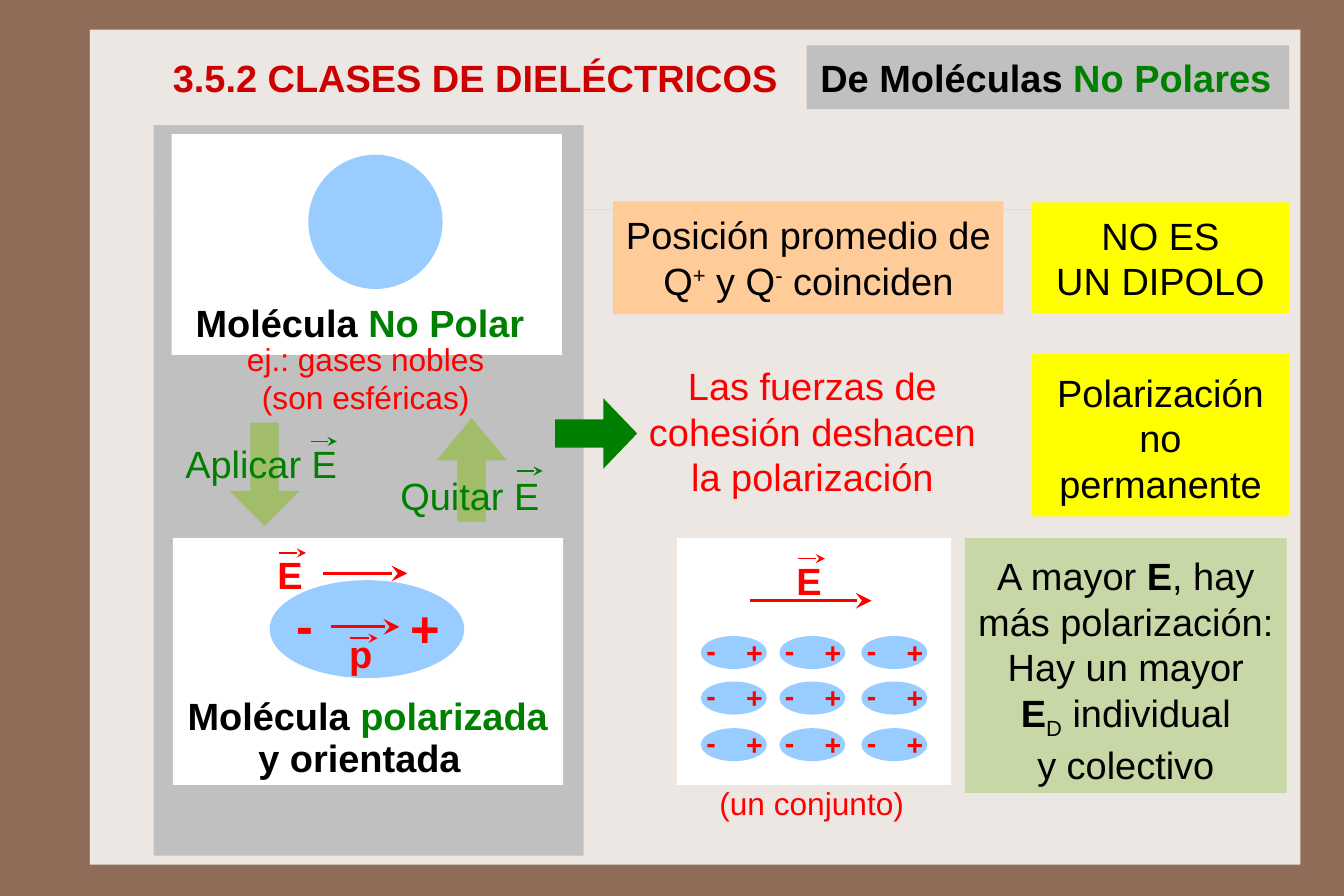
from dataclasses import dataclass
from itertools import product

from lxml import etree
from pptx import Presentation, util as u
from pptx.dml.color import RGBColor
from pptx.enum import shapes, text
from pptx.oxml import ns

# Colours
BROWN = RGBColor(0x90, 0x6D, 0x58)
CREAM = RGBColor(0xED, 0xE7, 0xE3)
SAND = RGBColor(0xCB, 0xBD, 0x83)
GREY = RGBColor(0xC0, 0xC0, 0xC0)
WHITE = RGBColor(0xFF, 0xFF, 0xFF)
BLACK = RGBColor(0x00, 0x00, 0x00)
BLUE = RGBColor(0x99, 0xCC, 0xFF)
RED = RGBColor(0xFF, 0x00, 0x00)
DARK_RED = RGBColor(0xCC, 0x00, 0x00)
GREEN = RGBColor(0x00, 0x80, 0x00)
MOSS = RGBColor(0xA1, 0xBD, 0x69)
MINT = RGBColor(0xC7, 0xD7, 0xA5)
PEACH = RGBColor(0xFF, 0xCC, 0x99)
YELLOW = RGBColor(0xFF, 0xFF, 0x00)

RECT = shapes.MSO_SHAPE.RECTANGLE
OVAL = shapes.MSO_SHAPE.OVAL
ARROW = shapes.MSO_SHAPE.RIGHT_ARROW
TOP, MID = text.MSO_ANCHOR.TOP, text.MSO_ANCHOR.MIDDLE
LEFT, MIDDLE = text.PP_ALIGN.LEFT, text.PP_ALIGN.CENTER


@dataclass
class Run:
    text: str
    color: RGBColor = BLACK
    bold: bool = False
    size: int = 24
    base: int = 0


@dataclass
class Box:
    at: tuple[float, float, float, float]
    fill: RGBColor | None = None
    paras: tuple[tuple[Run, ...], ...] = ()
    kind: shapes.MSO_SHAPE = RECT
    pad: tuple[float, float, float, float] = (0.1, 0.09, 0.1, 0.09)
    align: text.PP_ALIGN = MIDDLE
    anchor: text.MSO_ANCHOR = TOP
    wrap: bool = True
    turn: int = 0
    adjust: tuple[float, ...] = ()


@dataclass
class Line:
    start: tuple[float, float]
    width: float
    color: RGBColor = RED
    weight: float = 2
    head: str = "lg"
    alpha: int = 100


@dataclass
class Vector:
    letter: str
    x: float
    y: float
    rise: float = 0.1


def write(shape, box: Box) -> None:
    frame = shape.text_frame
    sides = ("margin_left", "margin_top", "margin_right", "margin_bottom")
    form = dict(zip(sides, map(u.Inches, box.pad)))
    form |= {"word_wrap": box.wrap, "vertical_anchor": box.anchor}
    for name, value in form.items():
        setattr(frame, name, value)
    for i, runs in enumerate(box.paras):
        para = frame.add_paragraph() if i else frame.paragraphs[0]
        para.alignment = box.align
        for part in runs:
            run = para.add_run()
            run.text = part.text
            form = {"name": "Arial", "size": u.Pt(part.size), "bold": part.bold}
            for name, value in form.items():
                setattr(run.font, name, value)
            run.font.color.rgb = part.color
            if part.base:
                run.font._element.set("baseline", str(part.base * 1000))


def draw_box(slide, box: Box) -> None:
    place = [u.Inches(n) for n in box.at]
    if box.fill is None:
        shape = slide.shapes.add_textbox(*place)
    else:
        shape = slide.shapes.add_shape(box.kind, *place)
        shape.shadow.inherit = False
        shape.fill.solid()
        shape.fill.fore_color.rgb = box.fill
        shape.line.fill.background()
        shape.rotation = box.turn
        for i, value in enumerate(box.adjust):
            shape.adjustments[i] = value
    if box.paras:
        write(shape, box)


def draw_line(slide, line: Line) -> None:
    x, y = line.start
    ends = [u.Inches(n) for n in (x, y, x + line.width, y)]
    link = slide.shapes.add_connector(shapes.MSO_CONNECTOR.STRAIGHT, *ends)
    link.line.color.rgb = line.color
    link.line.width = u.Pt(line.weight)
    stroke = link.line._get_or_add_ln()
    if line.alpha < 100:
        tint = stroke.find(".//" + ns.qn("a:srgbClr"))
        etree.SubElement(tint, ns.qn("a:alpha"), val=str(line.alpha * 1000))
    if line.head:
        etree.SubElement(stroke, ns.qn("a:tailEnd"), type="stealth", w=line.head, len=line.head)
    etree.SubElement(link._element.spPr, ns.qn("a:effectLst"))


def draw_sign(slide, sign: str, x: float, y: float, w: float, h: float, size: int) -> None:
    draw_box(slide, Box((x, y, w, h), paras=((Run(sign, RED, True, size),),),
                        pad=(0.1, 0.09, 0, 0.09), align=LEFT, wrap=False))


def draw_vector(slide, vec: Vector) -> None:
    draw_sign(slide, vec.letter, vec.x, vec.y, 0.38, 0.51, 24)
    draw_line(slide, Line((vec.x + 0.11, vec.y + vec.rise), 0.24, weight=1, head="med"))


def label(x: float, y: float, w: float, *runs: Run) -> Box:
    return Box((x, y, w, 0.59), paras=(runs,), align=LEFT, wrap=False)


LOW = (0.1, 0.13, 0.1, 0.09)
WIDE = (0.12, 0.08, 0.12, 0.08)

BOXES = [
    # Heading and left panel
    Box((1.35, 1.1, 3.78, 6.42), GREY),
    Box((1.51, 1.18, 3.43, 1.94), WHITE),
    Box((1.41, 0.42, 9.46, 0.51), None,
        ((Run("3.5.2 CLASES DE DIELÉCTRICOS", DARK_RED, True),),),
        pad=(0.11, 0.05, 0.11, 0.05), align=LEFT, anchor=MID, wrap=False),
    Box((7.09, 0.4, 4.24, 0.56), GREY,
        ((Run("De Moléculas ", bold=True), Run("No Polares", GREEN, True)),),
        pad=WIDE, align=LEFT, anchor=MID, wrap=False),
    Box((2.71, 1.36, 1.18, 1.18), BLUE, kind=OVAL),
    label(1.62, 2.54, 3.28, Run("Molécula", bold=True), Run(" No Polar", GREEN, True)),
    Box((1.61, 2.9, 3.21, 0.86), None,
        ((Run("ej.: gases nobles", RED, size=20),), (Run("(son esféricas)", RED, size=20),))),
    # Block arrows and their labels
    Box((3.69, 3.82, 0.91, 0.62), MOSS, kind=ARROW, turn=270, adjust=(0.4, 0.6)),
    label(3.42, 4.06, 1.43, Run("Quitar E", GREEN)),
    Box((1.87, 3.86, 0.91, 0.62), MOSS, kind=ARROW, turn=90, adjust=(0.4, 0.5)),
    label(1.53, 3.78, 1.55, Run("Aplicar E", GREEN)),
    Box((5.55, 3.06, 3.18, 1.43), None,
        ((Run("Las fuerzas de cohesión deshacen la polarización", RED),),), pad=LOW),
    Box((4.88, 3.5, 0.72, 0.62), GREEN, kind=ARROW, adjust=(0.4, 0.48)),
    # Polarized molecule
    Box((1.52, 4.73, 3.43, 2.17), WHITE),
    Box((2.37, 5.1, 1.71, 0.86), BLUE, kind=OVAL),
    label(1.55, 6, 3.39, Run("Molécula", bold=True), Run(" polarizada", GREEN, True)),
    Box((2.03, 6.33, 2.26, 0.63), None, ((Run("y orientada", bold=True),),), pad=LOW),
    # Group of molecules
    Box((5.95, 4.73, 2.41, 2.17), WHITE),
    Box((5.85, 6.76, 2.57, 0.56), None, ((Run("(un conjunto)", RED, size=20),),), pad=LOW),
    # Notes on the right
    Box((9.07, 3.11, 2.26, 1.43), YELLOW, ((Run("Polarización no permanente"),),),
        pad=LOW, anchor=MID),
    Box((8.48, 4.73, 2.83, 2.24), MINT,
        ((Run("A mayor "), Run("E", bold=True), Run(", hay más polarización: Hay un mayor")),
         (Run("E", bold=True), Run("D", base=-25), Run(" individual")),
         (Run("y colectivo"),)), pad=LOW),
    Box((5.39, 1.77, 3.43, 0.99), PEACH,
        ((Run("Posición promedio de Q"), Run("+", base=30), Run(" y Q"),
          Run("-", base=30), Run(" coinciden")),)),
    Box((9.07, 1.78, 2.26, 0.97), YELLOW, ((Run("NO ES"),), (Run("UN DIPOLO"),)),
        pad=WIDE, anchor=MID),
]
LINES = [
    Line((4.54, 4.14), 0.23, GREEN, 1, "med"),
    Line((2.73, 3.88), 0.23, GREEN, 1, "med"),
    Line((6.59, 5.28), 1.07),
    Line((2.91, 5.51), 0.6),
    Line((2.84, 5.04), 0.74),
]
VECTORS = [Vector("E", 6.9, 4.81), Vector("p", 2.97, 5.45, 0.16), Vector("E", 2.34, 4.76)]
ROWS, COLS = (5.59, 5.99, 6.4), (6.16, 6.85, 7.57)


def main() -> None:
    deck = Presentation()
    deck.slide_width, deck.slide_height = u.Inches(189 / 16), u.Inches(63 / 8)
    slide = deck.slides.add_slide(deck.slide_layouts[6])

    # Backdrop
    slide.background.fill.solid()
    slide.background.fill.fore_color.rgb = BROWN
    draw_box(slide, Box((0.79, 0.26, 10.64, 7.34), CREAM))
    draw_line(slide, Line((1.31, 1.84), 9.91, SAND, 0.25, "", 40))

    for box in BOXES:
        draw_box(slide, box)

    # Charges of the large and small molecules
    draw_sign(slide, "+", 3.51, 5.16, 0.46, 0.71, 32)
    draw_sign(slide, "-", 2.51, 5.13, 0.35, 0.71, 32)
    for y, x in product(ROWS, COLS):
        draw_box(slide, Box((x, y, 0.58, 0.29), BLUE, kind=OVAL))
        draw_sign(slide, "+", x + 0.3, y - 0.1, 0.24, 0.34, 18)
        draw_sign(slide, "-", x - 0.05, y - 0.12, 0.2, 0.34, 18)

    # Field and dipole arrows
    for line in LINES:
        draw_line(slide, line)
    for vec in VECTORS:
        draw_vector(slide, vec)
    deck.save("out.pptx")


if __name__ == "__main__":
    main()
